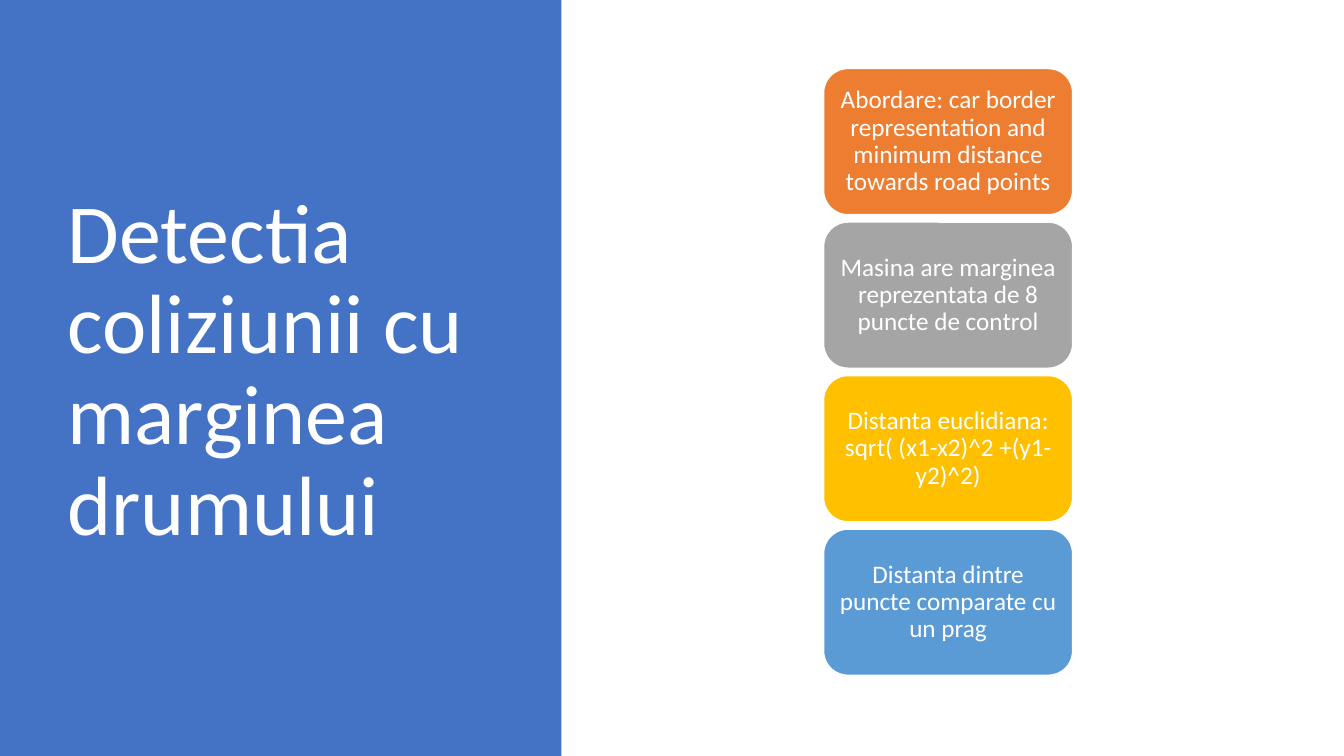
"""Build the slide on detecting collisions with the road edge."""
import dataclasses

import pptx
import pptx.dml.color
import pptx.enum.shapes
import pptx.enum.text
import pptx.util

WIDE, HIGH = pptx.util.Inches(13.333), pptx.util.Inches(7.5)
FONT, WHITE = "Calibri", "FFFFFF"
TOP, PITCH = 9.07, 20.31


@dataclasses.dataclass(frozen=True)
class Area:
    """Hold a place on the slide in percent of its width and height."""
    left: float
    top: float
    width: float
    height: float

    def box(self) -> tuple[int, int, int, int]:
        """Return the place in slide units."""
        return (round(WIDE * self.left / 100), round(HIGH * self.top / 100),
                round(WIDE * self.width / 100), round(HIGH * self.height / 100))


@dataclasses.dataclass(frozen=True)
class Step:
    """Hold the wording and fill of one step."""
    text: str
    fill: str


STEPS = (
    Step("Abordare: car border representation and minimum distance towards road points", "ED7D31"),
    Step("Masina are marginea reprezentata de 8 puncte de control", "A5A5A5"),
    Step("Distanta euclidiana: sqrt( (x1-x2)^2 +(y1-y2)^2)", "FFC000"),
    Step("Distanta dintre puncte comparate cu un prag", "5B9BD5"),
)


def color(code: str) -> pptx.dml.color.RGBColor:
    """Turn a hex string into a colour."""
    return pptx.dml.color.RGBColor.from_string(code)


def write(shape, text: str, size: float, align) -> None:
    """Write one white run, centred vertically in the shape."""
    frame = shape.text_frame
    frame.word_wrap = True
    frame.auto_size = pptx.enum.text.MSO_AUTO_SIZE.NONE
    frame.vertical_anchor = pptx.enum.text.MSO_ANCHOR.MIDDLE
    para = frame.paragraphs[0]
    para.alignment, para.line_spacing = align, 0.9
    run = para.add_run()
    run.text = text
    run.font.name, run.font.size = FONT, pptx.util.Pt(size)
    run.font.color.rgb = color(WHITE)


def block(slide, kind, area: Area, fill: str):
    """Add a flat filled shape without an outline."""
    shape = slide.shapes.add_shape(kind, *area.box())
    shape.shadow.inherit = False
    shape.fill.solid()
    shape.fill.fore_color.rgb = color(fill)
    shape.line.fill.background()
    return shape


def card(slide, step: Step, row: int) -> None:
    """Add the rounded card of one step."""
    area = Area(61.28, TOP + row * PITCH, 18.53, 19.33)
    shape = block(slide, pptx.enum.shapes.MSO_SHAPE.ROUNDED_RECTANGLE, area, step.fill)
    shape.line.color.rgb = color(WHITE)
    shape.line.width = pptx.util.Pt(1)
    frame = shape.text_frame
    frame.margin_left = frame.margin_right = pptx.util.Inches(0.07)
    frame.margin_top = frame.margin_bottom = pptx.util.Inches(0.04)
    write(shape, step.text, 18, pptx.enum.text.PP_ALIGN.CENTER)


def main() -> None:
    """Build and save the slide."""
    deck = pptx.Presentation()
    deck.slide_width, deck.slide_height = WIDE, HIGH
    slide = deck.slides.add_slide(deck.slide_layouts[5])
    title = slide.shapes.title
    title.left, title.top, title.width, title.height = Area(4.28, TOP, 31.2, 80.27).box()
    write(title, "Detectia coliziunii cu marginea drumului", 60, pptx.enum.text.PP_ALIGN.LEFT)
    panel = block(slide, pptx.enum.shapes.MSO_SHAPE.RECTANGLE, Area(0, 0, 41.78, 100), "4472C4")
    title.element.addprevious(panel.element)
    for row, step in enumerate(STEPS):
        card(slide, step, row)
    deck.save("out.pptx")


if __name__ == "__main__":
    main()
